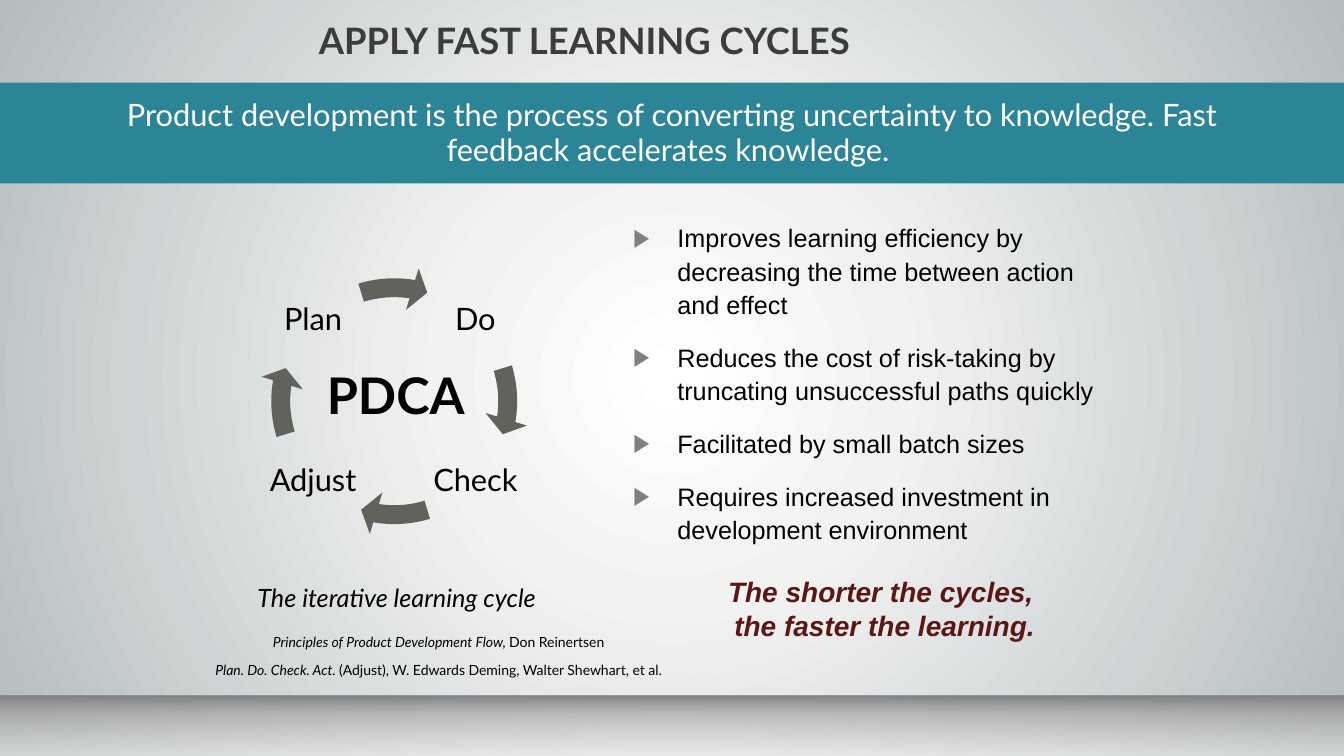
import pptx
import pptx.util
import pptx.enum.shapes
import pptx.enum.text
import pptx.dml.color
import pptx.oxml
import pptx.oxml.ns

Inches = pptx.util.Inches
Pt = pptx.util.Pt
SHAPE = pptx.enum.shapes.MSO_SHAPE
ALIGN = pptx.enum.text.PP_ALIGN
ANCHOR = pptx.enum.text.MSO_ANCHOR
NS = pptx.oxml.ns.nsdecls("a")

COLORS = {
    "title": "3C3C3C",
    "banner": "2C8596",
    "white": "FFFFFF",
    "black": "000000",
    "arrow": "62625C",
    "bullet": "808080",
    "closing": "5A1715",
}


def use_gradient(fill, props, stops, direction):
    fill.solid()
    gs = "".join(
        f'<a:gs pos="{pos * 1000}"><a:srgbClr val="{color}">'
        f'<a:alpha val="{alpha * 1000}"/></a:srgbClr></a:gs>'
        for pos, color, alpha in stops
    )
    xml = f'<a:gradFill {NS} rotWithShape="1"><a:gsLst>{gs}</a:gsLst>{direction}</a:gradFill>'
    solid = props.find(pptx.oxml.ns.qn("a:solidFill"))
    props.replace(solid, pptx.oxml.parse_xml(xml))


def add_text(sp, paragraphs, size, color="black", font="Lato", bold=False,
             align=ALIGN.CENTER, spacing=None, before=0, after=0,
             insets=(0.1, 0.05, 0.1, 0.05), anchor=ANCHOR.TOP):
    tf = sp.text_frame
    tf.word_wrap = True
    tf.vertical_anchor = anchor
    tf.margin_left, tf.margin_top, tf.margin_right, tf.margin_bottom = map(Inches, insets)
    for i, runs in enumerate(paragraphs):
        p = tf.add_paragraph() if i else tf.paragraphs[0]
        p.alignment = align
        p.line_spacing = spacing
        p.space_before = Pt(before if i else 0)
        p.space_after = Pt(after)
        for text, italic in runs:
            for n, line in enumerate(text.split("\n")):
                if n:
                    p.add_line_break()
                r = p.add_run()
                r.text = line
                r.font.name = font
                r.font.size = Pt(size)
                r.font.bold = bold
                r.font.italic = italic
                r.font.color.rgb = pptx.dml.color.RGBColor.from_string(COLORS[color])
    return tf


prs = pptx.Presentation()
prs.slide_width = Inches(13.33)
prs.slide_height = Inches(7.5)
s = prs.slides.add_slide(prs.slide_layouts[6])

bg_fill = s.background.fill
bg_fill.solid()
bg_props = s.element.cSld.find(".//" + pptx.oxml.ns.qn("p:bgPr"))
use_gradient(
    bg_fill, bg_props,
    [(0, "FFFFFF", 100), (30, "F2F2F2", 100), (100, "B4BCBE", 100)],
    '<a:path path="circle"><a:fillToRect l="50000" t="50000" r="50000" b="50000"/></a:path>',
)

floor = s.shapes.add_shape(SHAPE.RECTANGLE, 0, Inches(6.9), Inches(13.33), Inches(0.6))
floor.shadow.inherit = False
floor.line.fill.background()
use_gradient(
    floor.fill, floor.element.spPr,
    [(0, "808080", 100), (32, "A1A19C", 59), (100, "F2F2F2", 49)],
    '<a:lin ang="5400000" scaled="0"/>',
)

title = s.shapes.add_textbox(Inches(0.8), Inches(0.23), Inches(10), Inches(0.44))
add_text(title, [[("APPLY FAST LEARNING CYCLES", False)]], 26, "title", bold=True,
         spacing=0.9, insets=(0.1, 0, 0.1, 0.05))

banner = s.shapes.add_shape(SHAPE.RECTANGLE, 0, Inches(0.82), Inches(13.33), Inches(1))
banner.shadow.inherit = False
banner.line.fill.background()
banner.fill.solid()
banner.fill.fore_color.rgb = pptx.dml.color.RGBColor.from_string(COLORS["banner"])
add_text(banner, [[("Product development is the process of converting uncertainty to knowledge. "
                    "Fast feedback accelerates knowledge. ", False)]],
         22, "white", spacing=0.95, insets=(0.7, 0.1, 0.7, 0.1), anchor=ANCHOR.MIDDLE)

benefits = [
    "Improves learning efficiency by decreasing the time between action \nand effect",
    "Reduces the cost of risk-taking by truncating unsuccessful paths quickly",
    "Facilitated by small batch sizes",
    "Requires increased investment in development environment",
]
sp = s.shapes.add_textbox(Inches(6.18), Inches(2.13), Inches(5.19), Inches(3.4))
tf = add_text(sp, [[(text, False)] for text in benefits], 18, font="Arial",
              align=ALIGN.LEFT, spacing=1.1, after=14)
for p in tf.paragraphs:
    pPr = p._p.get_or_add_pPr()
    pPr.set("marL", str(Inches(0.44)))
    pPr.set("indent", str(Inches(-0.44)))
    for bullet in (
        f'<a:buClr {NS}><a:srgbClr val="{COLORS["bullet"]}"/></a:buClr>',
        f'<a:buFont {NS} typeface="Arial"/>',
        f'<a:buChar {NS} char="▶"/>',
    ):
        pPr.append(pptx.oxml.parse_xml(bullet))

sp = s.shapes.add_textbox(Inches(6.18), Inches(5.64), Inches(5.19), Inches(0.8))
add_text(sp, [[("The shorter the cycles, \nthe faster the learning.", True)]], 20, "closing",
         font="Arial", bold=True, spacing=Pt(24.6))

sp = s.shapes.add_textbox(Inches(1.89), Inches(6.28), Inches(4.92), Inches(0.45))
add_text(sp, [
    [("Principles of Product Development Flow, ", True), ("Don Reinertsen", False)],
    [("Plan. Do. Check. Act. ", True),
     ("(Adjust), W. Edwards Deming, Walter Shewhart, et al.", False)],
], 10, before=4, after=4, insets=(0, 0, 0, 0))

steps = [("Do", 4.24, 2.7), ("Check", 4.24, 4.3), ("Adjust", 2.63, 4.3), ("Plan", 2.63, 2.7)]
quarter, full = 54, 216
for i, (step, x, y) in enumerate(steps):
    label = s.shapes.add_textbox(Inches(x), Inches(y), Inches(0.95), Inches(0.95))
    add_text(label, [[(step, False)]], 22, spacing=0.9,
             insets=(0.03, 0.03, 0.03, 0.03), anchor=ANCHOR.MIDDLE)
    arrow = s.shapes.add_shape(SHAPE.CIRCULAR_ARROW, Inches(2.57), Inches(2.64),
                               Inches(2.68), Inches(2.68))
    arrow.shadow.inherit = False
    arrow.line.fill.background()
    arrow.fill.solid()
    arrow.fill.fore_color.rgb = pptx.dml.color.RGBColor.from_string(COLORS["arrow"])
    angles = (0.07, 4.65, 5.51 + quarter * i, (205.84 + quarter * i) % full, 0.08)
    for n, value in enumerate(angles):
        arrow.adjustments[n] = value

sp = s.shapes.add_textbox(Inches(3.04), Inches(3.56), Inches(1.77), Inches(0.71))
add_text(sp, [[("PDCA", False)]], 36, bold=True)

sp = s.shapes.add_textbox(Inches(1.67), Inches(5.73), Inches(4.53), Inches(0.4))
add_text(sp, [[("The iterative learning cycle", True)]], 18)

prs.save("out.pptx")
